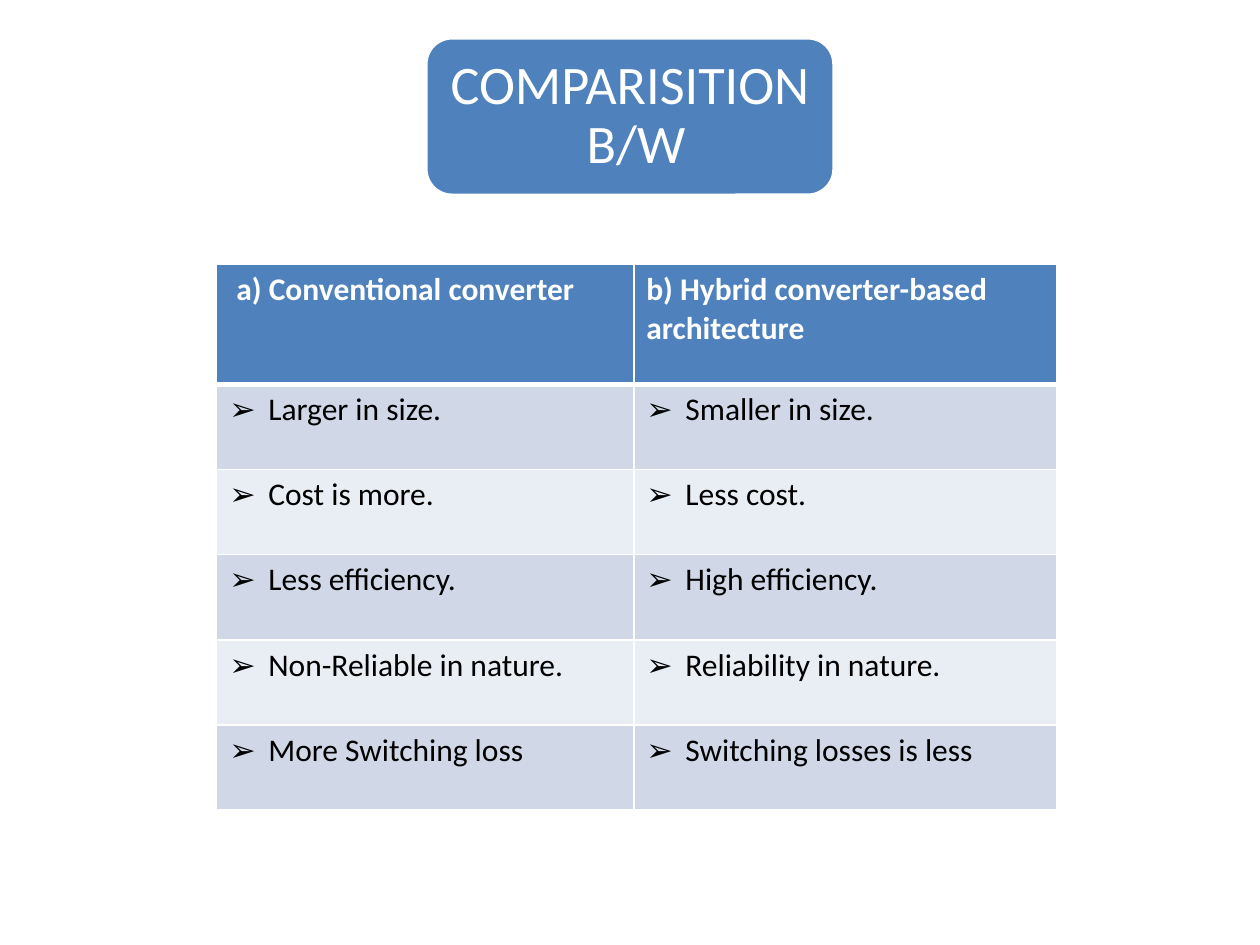
from dataclasses import dataclass

from lxml import etree
from pptx import Presentation
from pptx.dml.color import RGBColor
from pptx.enum.shapes import MSO_SHAPE
from pptx.enum.text import MSO_ANCHOR, PP_ALIGN
from pptx.oxml.ns import qn
from pptx.util import Inches, Pt

ROUNDED = MSO_SHAPE.ROUNDED_RECTANGLE
CENTER = PP_ALIGN.CENTER
MIDDLE = MSO_ANCHOR.MIDDLE


@dataclass(frozen=True)
class Theme:
    font: str = "Calibri"
    title_size: int = 31
    table_size: int = 18
    blue: str = "4F81BD"
    white: str = "FFFFFF"
    black: str = "000000"
    bands: tuple[str, str] = ("D0D8E8", "E9EDF4")
    border: int = 1
    header_border: int = 3


@dataclass(frozen=True)
class Row:
    conventional: str
    hybrid: str


THEME = Theme()
HEADER = Row(" a) Conventional converter", "b) Hybrid converter-based architecture")
ROWS = [
    Row("Larger in size.", "Smaller in size."),
    Row("Cost is more.", "Less cost."),
    Row("Less efficiency.", "High efficiency."),
    Row("Non-Reliable in nature.", "Reliability in nature."),
    Row("More Switching loss", "Switching losses is less"),
]
COLUMN_WIDTHS = (3.31, 3.36)
TABLE_HEIGHT, HEADER_HEIGHT = 4.33, 0.95
BULLET_INDENT = Inches(0.31)


def style_runs(p, size: int, color: str, bold: bool = False) -> None:
    values = {"name": THEME.font, "size": Pt(size), "bold": bold}
    for r in p.runs:
        for name, value in values.items():
            setattr(r.font, name, value)
        r.font.color.rgb = RGBColor.from_string(color)


def add_title(s, text: str) -> None:
    sp = s.shapes.add_shape(ROUNDED, Inches(3.38), Inches(0.3), Inches(3.24), Inches(1.25))
    sp.shadow.inherit = False
    sp.fill.solid()
    sp.fill.fore_color.rgb = RGBColor.from_string(THEME.blue)
    sp.line.color.rgb = RGBColor.from_string(THEME.white)
    sp.line.width = Pt(2)
    tf = sp.text_frame
    values = {
        "word_wrap": True,
        "vertical_anchor": MIDDLE,
        "margin_left": Inches(0.05),
        "margin_right": Inches(0.05),
        "margin_top": Inches(0.05),
        "margin_bottom": Inches(0.05),
    }
    for name, value in values.items():
        setattr(tf, name, value)
    p = tf.paragraphs[0]
    p.text = text
    p.alignment = CENTER
    p.line_spacing = 0.9
    style_runs(p, THEME.title_size, THEME.white)


def set_borders(cell, top: int, bottom: int) -> None:
    tc_pr = cell._tc.get_or_add_tcPr()
    widths = {"a:lnL": THEME.border, "a:lnR": THEME.border, "a:lnT": top, "a:lnB": bottom}
    for i, (tag, width) in enumerate(widths.items()):
        ln = etree.Element(qn(tag), w=str(Pt(width)))
        fill = etree.SubElement(ln, qn("a:solidFill"))
        etree.SubElement(fill, qn("a:srgbClr"), val=THEME.white)
        tc_pr.insert(i, ln)


def add_bullet(p) -> None:
    p_pr = p._p.get_or_add_pPr()
    p_pr.set("marL", str(BULLET_INDENT))
    p_pr.set("indent", str(-BULLET_INDENT))
    etree.SubElement(p_pr, qn("a:buFont"), typeface=THEME.font)
    etree.SubElement(p_pr, qn("a:buChar"), char="➢")


def fill_cell(cell, text: str, row: int) -> None:
    header = row == 0
    fill = THEME.blue if header else THEME.bands[(row - 1) % 2]
    cell.fill.solid()
    cell.fill.fore_color.rgb = RGBColor.from_string(fill)
    set_borders(
        cell,
        top=THEME.header_border if row == 1 else THEME.border,
        bottom=THEME.header_border if header else THEME.border,
    )
    p = cell.text_frame.paragraphs[0]
    p.text = text
    style_runs(p, THEME.table_size, THEME.white if header else THEME.black, header)
    if not header:
        add_bullet(p)


def add_comparison(s, header: Row, rows: list[Row]) -> None:
    row_height = (TABLE_HEIGHT - HEADER_HEIGHT) / len(rows)
    table = s.shapes.add_table(
        len(rows) + 1, len(COLUMN_WIDTHS), Inches(1.72), Inches(2.1),
        Inches(sum(COLUMN_WIDTHS)), Inches(TABLE_HEIGHT),
    ).table
    for column, width in zip(table.columns, COLUMN_WIDTHS):
        column.width = Inches(width)
    for i, row in enumerate([header, *rows]):
        table.rows[i].height = Inches(row_height if i else HEADER_HEIGHT)
        for j, text in enumerate((row.conventional, row.hybrid)):
            fill_cell(table.cell(i, j), text, i)


def main() -> None:
    prs = Presentation()
    prs.slide_width, prs.slide_height = Inches(10), Inches(7.5)
    s = prs.slides.add_slide(prs.slide_layouts[6])
    add_title(s, "COMPARISITION\v B/W")
    add_comparison(s, HEADER, ROWS)
    prs.save("out.pptx")


if __name__ == "__main__":
    main()
